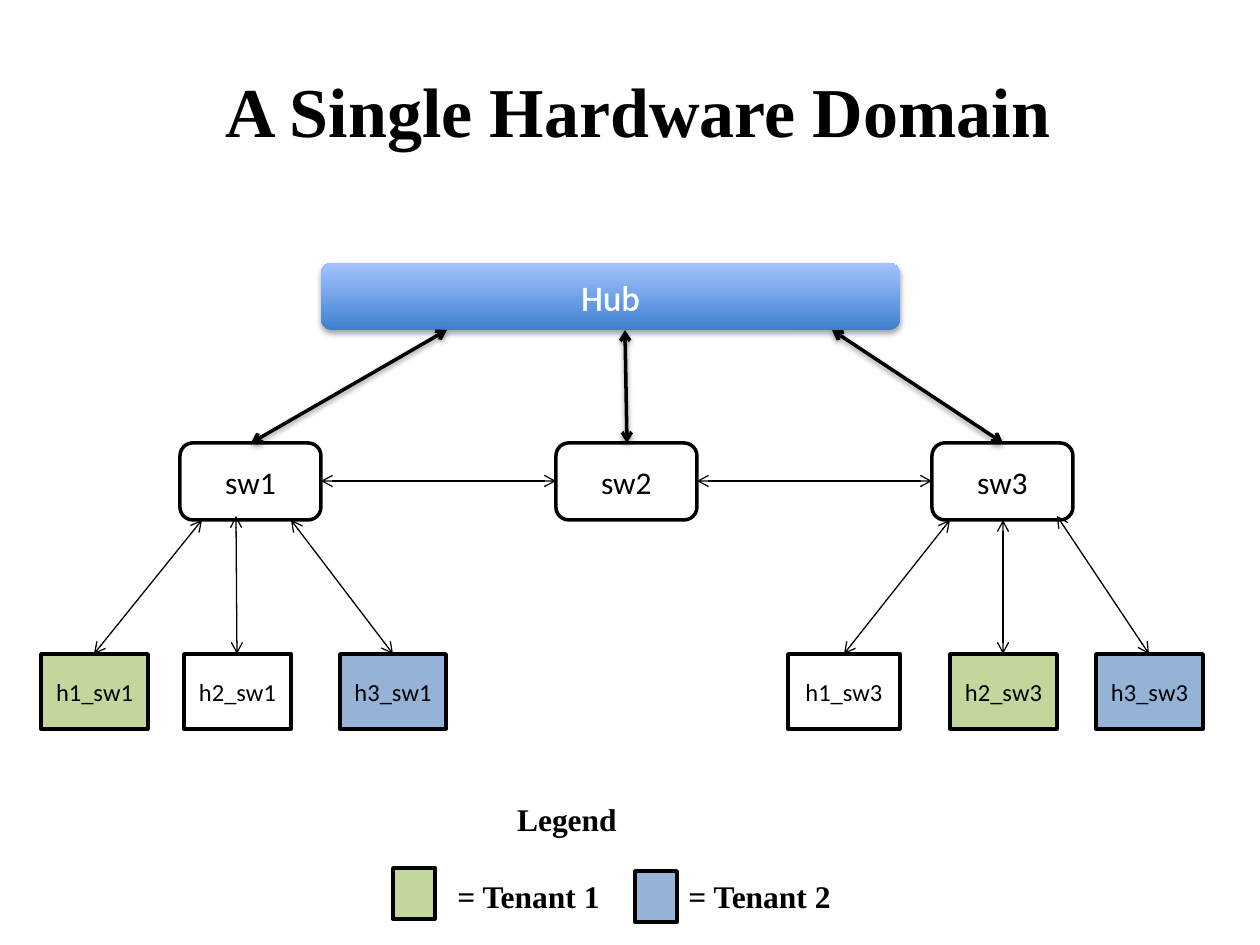
from lxml import etree
from pptx import Presentation
from pptx import util as u
from pptx.dml.color import RGBColor
from pptx.enum import shapes, text
from pptx.oxml.ns import qn

PX = 914400 / 126
BLACK = RGBColor(0, 0, 0)
WHITE = RGBColor(255, 255, 255)
GREEN = RGBColor(0xC3, 0xD6, 0x9B)
BLUE = RGBColor(0x95, 0xB3, 0xD7)
DEEP = RGBColor(0x3F, 0x80, 0xCE)
PALE = RGBColor(0xA4, 0xC4, 0xFF)
RECT = shapes.MSO_SHAPE.RECTANGLE
ROUND = shapes.MSO_SHAPE.ROUNDED_RECTANGLE
SANS, SERIF = "Calibri", "Times New Roman"


def emu(*sizes):
    """Turn pixels into EMU."""
    return [u.Emu(round(s * PX)) for s in sizes]


def sub(node, tag, **attrs):
    """Add a drawing element with attributes."""
    return etree.SubElement(node, qn("a:" + tag), attrs)


def shade(props, dist, alpha):
    """Add a soft black shadow below an element."""
    effects = props.find(qn("a:effectLst"))
    if effects is None:
        effects = sub(props, "effectLst")
    outer = sub(effects, "outerShdw", blurRad="39370", dist=str(dist),
                dir="5400000", rotWithShape="0")
    color = sub(outer, "srgbClr", val="000000")
    sub(color, "alpha", val=str(alpha * 1000))


def write(shape, words, size, font=SANS, color=BLACK, bold=False):
    """Set and format centred text."""
    frame = shape.text_frame
    frame.text = words
    frame.vertical_anchor = text.MSO_ANCHOR.MIDDLE
    para = frame.paragraphs[0]
    para.alignment = text.PP_ALIGN.CENTER
    run = para.runs[0]
    run.font.name, run.font.size = font, u.Pt(size)
    run.font.bold, run.font.color.rgb = bold, color
    return run


def box(slide, kind, area, fill, words="", size=18):
    """Draw an outlined box with an optional name."""
    shape = slide.shapes.add_shape(kind, *emu(*area))
    shape.shadow.inherit = False
    shape.fill.solid()
    shape.fill.fore_color.rgb = fill
    shape.line.color.rgb = BLACK
    shape.line.width = u.Pt(2)
    if words:
        shape.text_frame.margin_left = shape.text_frame.margin_right = 0
        write(shape, words, size)


def label(slide, area, words):
    """Draw a bold legend text."""
    shape = slide.shapes.add_textbox(*emu(*area))
    shape.text_frame.word_wrap = False
    write(shape, words, 18, SERIF, bold=True)


def arrow(slide, ends, strong=False):
    """Draw a line with open arrowheads at both ends."""
    line = slide.shapes.add_connector(shapes.MSO_CONNECTOR.STRAIGHT, *emu(*ends))
    line.line.color.rgb = BLACK
    line.line.width = u.Pt(2 if strong else 0.75)
    props = line._element.spPr
    stroke = props.find(qn("a:ln"))
    for tag in ("headEnd", "tailEnd"):
        sub(stroke, tag, type="arrow")
    if strong:
        shade(props, 20320, 38)
    else:
        sub(props, "effectLst")


def top_bar(slide):
    """Draw the shaded bar above the switches."""
    bar = slide.shapes.add_shape(ROUND, *emu(321, 263, 579, 67))
    bar.shadow.inherit = False
    bar.fill.gradient()
    bar.fill.gradient_angle = 90
    for stop, color in zip(bar.fill.gradient_stops, (DEEP, PALE)):
        stop.color.rgb = color
    bar.line.fill.background()
    shade(bar._element.spPr, 22860, 35)
    run = write(bar, "Hub", 20, color=WHITE)
    edge = etree.Element(qn("a:ln"), w="18415")
    sub(sub(edge, "solidFill"), "srgbClr", val="FFFFFF")
    run._r.get_or_add_rPr().insert(0, edge)


def main():
    """Build the slide."""
    deck = Presentation()
    deck.slide_width, deck.slide_height = u.Inches(10), u.Inches(7.5)
    slide = deck.slides.add_slide(deck.slide_layouts[5])
    title = slide.shapes.title
    title.left, title.top, title.width, title.height = emu(180, 61, 916, 97)
    write(title, "A Single Hardware Domain", 40, SERIF, bold=True)

    for i in range(3):
        left = 180 + 376 * i
        box(slide, ROUND, (left, 443, 141, 77), WHITE, f"sw{i + 1}")
        if i < 2:
            arrow(slide, (left + 141, 481, left + 376, 481))

    hosts = [
        ("h1_sw1", 41, 107, GREEN, 202, 520),
        ("h2_sw1", 184, 107, WHITE, 236, 516),
        ("h3_sw1", 340, 106, BLUE, 291, 520),
        ("h1_sw3", 788, 112, WHITE, 950, 520),
        ("h2_sw3", 950, 107, GREEN, 1003, 520),
        ("h3_sw3", 1096, 107, BLUE, 1057, 516),
    ]
    for name, left, width, fill, x, y in hosts:
        box(slide, RECT, (left, 654, width, 75), fill, name, 14)
        arrow(slide, (x, y, left + width // 2, 654))

    top_bar(slide)
    for ends in ((447, 330, 251, 443), (627, 443, 625, 330), (1003, 443, 832, 330)):
        arrow(slide, ends, strong=True)

    label(slide, (504, 793, 126, 51), "Legend")
    keys = [(393, 868, 444, GREEN), (635, 871, 675, BLUE)]
    for i, (left, top, start, fill) in enumerate(keys, 1):
        box(slide, RECT, (left, top, 42, 51), fill)
        label(slide, (start, 870, 169, 51), f"= Tenant {i}")
    deck.save("out.pptx")


main()
